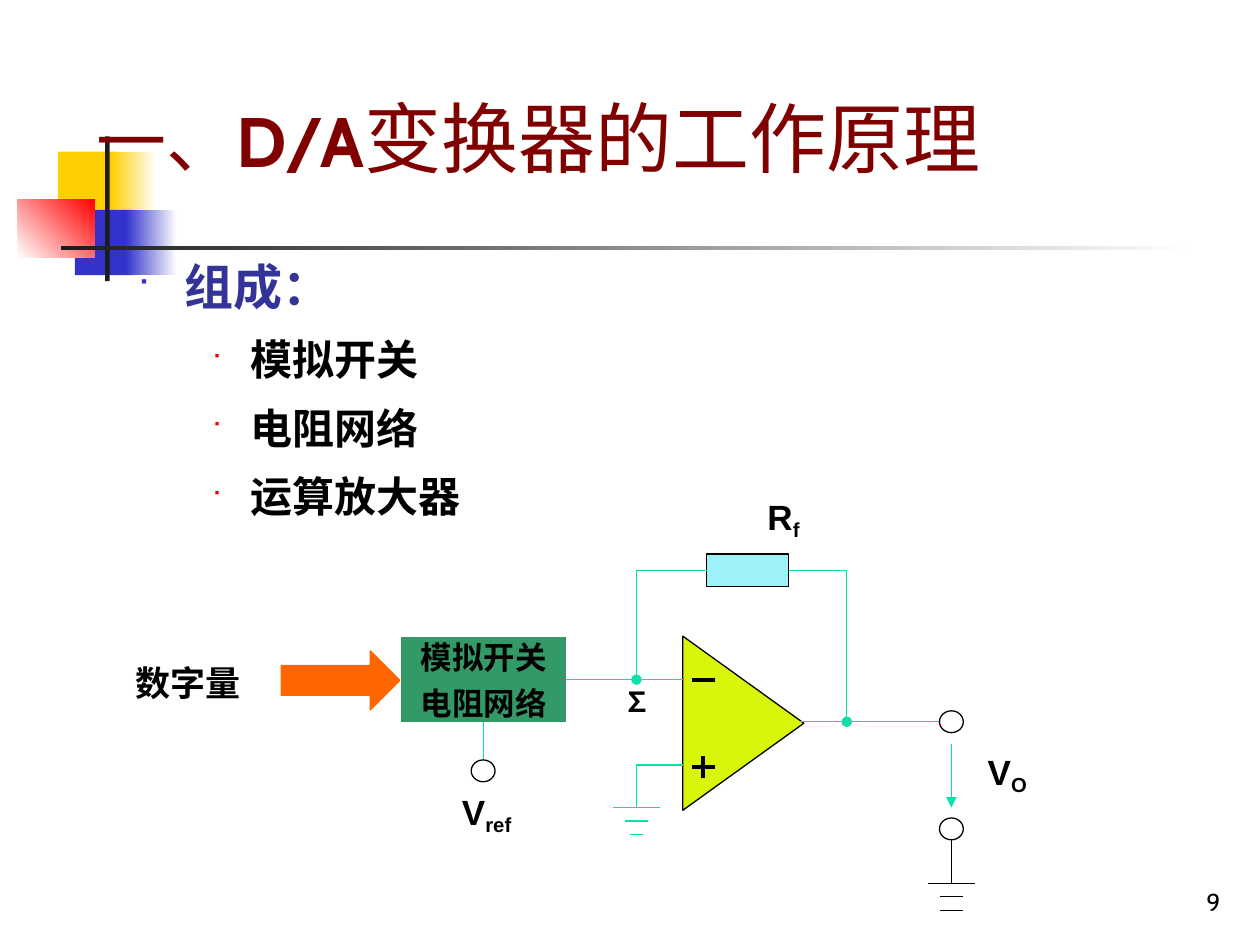
"""Build the slide on how a D/A converter works."""
from dataclasses import dataclass
from typing import Optional

from lxml.etree import SubElement
from pptx import Presentation
from pptx.dml.color import RGBColor as Rgb
from pptx.enum.shapes import MSO_CONNECTOR as Link, MSO_SHAPE as Form
from pptx.enum.text import MSO_ANCHOR as Anchor, MSO_AUTO_SIZE as Fit, PP_ALIGN as Align
from pptx.oxml.ns import qn
from pptx.util import Cm, Pt

HUES = {
    "white": "FFFFFF", "black": "000000", "gold": "FFCF01", "blue": "3333CC",
    "red": "FF0000", "ink": "1C1C1C", "maroon": "800000", "navy": "333399",
    "mint": "00E4A8", "green": "339966", "lime": "D9F50B", "sky": "9DF2F9",
    "orange": "FF6600",
}


@dataclass
class Block:
    """A filled preset shape; a second hue makes a gradient."""
    box: tuple
    fill: str
    edge: Optional[str] = None
    form: Form = Form.RECTANGLE
    turn: float = 0
    fade: Optional[str] = None
    slope: float = 0


@dataclass
class Wire:
    """A straight line, with optional joins as (block key, site)."""
    ends: tuple
    hue: str = "mint"
    width: float = 0.75
    tail: Optional[str] = None
    start: Optional[tuple] = None
    stop: Optional[tuple] = None


@dataclass
class Label:
    """A short centred text with an optional subscript."""
    box: tuple
    text: str
    sub: str = ""
    size: float = 20
    face: str = "Arial"


@dataclass
class Item:
    """A bulleted line of the list."""
    text: str
    size: float
    hue: str
    dot: str
    ratio: int
    left: float
    hang: float
    pitch: float
    before: float
    after: float


DECOR = [
    Block((1.17, 3.06, 1.22, 1.32), "gold"),
    Block((2.24, 3.06, 0.91, 1.32), "gold", fade="white"),
    Block((1.51, 4.23, 1.17, 1.32), "blue"),
    Block((2.54, 4.23, 1.02, 1.32), "blue", fade="white"),
    Block((0.36, 4.02, 1.55, 1.17), "white", fade="red", slope=45),
    Block((2.12, 2.75, 0.09, 2.92), "ink"),
    Block((1.23, 4.95, 22.86, 0.09), "ink", fade="white"),
]
PARTS = {
    "net": Block((8.1, 12.85, 3.3, 1.7), "green", "green"),
    "amp": Block((13.23, 13.36, 3.51, 2.44), "lime", "black", Form.ISOSCELES_TRIANGLE, 90),
    "load": Block((14.25, 11.17, 1.65, 0.66), "sky", "black"),
    "input": Block((6.27, 12.52, 1.19, 2.39), "orange", "orange", Form.DOWN_ARROW, 270),
}
PINS = [
    Block((left, top, 0.48, 0.44), "white", "black", Form.OVAL)
    for left, top in ((9.5, 15.32), (18.94, 14.33), (18.94, 16.49))
]
WIRES = [
    Wire((11.4, 13.7, 13.77, 13.7), start=("net", 3)),
    Wire((9.75, 15.42, 9.75, 14.55), stop=("net", 2)),
    Wire((13.77, 15.42, 12.83, 15.42)),
    Wire((12.83, 15.42, 12.83, 16.28)),
    Wire((16.13, 14.55, 18.95, 14.55)),
    Wire((15.9, 11.5, 17.07, 11.5), start=("load", 3)),
    Wire((17.07, 11.5, 17.07, 14.55), tail="oval"),
    Wire((14.25, 11.5, 12.83, 11.5), start=("load", 1)),
    Wire((12.83, 11.5, 12.83, 13.7), tail="oval"),
    Wire((19.18, 14.99, 19.18, 16.28), tail="triangle"),
    Wire((19.18, 16.94, 19.18, 17.81), "black"),
    Wire((13.94, 15.47, 14.42, 15.47), "black", 2.25),
    Wire((14.18, 15.24, 14.18, 15.68), "black", 2.25),
    Wire((13.94, 13.7, 14.42, 13.7), "black", 2.25),
]
EARTHS = [
    (12.83, 16.28, "mint", (0.94, 0.46, 0.28)),
    (19.18, 17.81, "black", (0.94, 0.48, 0.48)),
]
LABELS = [
    Label((9.11, 15.93, 1.4, 0.91), "V", "ref"),
    Label((15.3, 9.98, 0.99, 0.81), "R", "f"),
    Label((19.71, 15.13, 1.19, 0.81), "V", "O"),
    Label((2.5, 13.34, 2.59, 0.79), "数字量"),
    Label((12.5, 13.8, 0.71, 0.71), "∑", size=16, face="Noto Sans CJK SC"),
]
ITEMS = [Item("组成：", 28, "navy", "blue", 60, 0.96, 0.96, 1.1, 0, 1.8)] + [
    Item(text, 24, "black", "red", 55, 2.29, 0.79, pitch, before, 1.5)
    for text, pitch, before in (("模拟开关", 1.1, 6), ("电阻网络", 1.2, 3), ("运算放大器", 1.2, 3))
]


def tint(hue: str) -> Rgb:
    return Rgb.from_string(HUES[hue])


def style(run, size: float, face: str, hue: str = "black", bold: bool = True, east: str = "") -> None:
    font = run.font
    font.size, font.name, font.bold = Pt(size), face, bold
    font.color.rgb = tint(hue)
    SubElement(font._element, qn("a:ea")).set("typeface", east or face)


def frame(shape, inset: bool = False, wrap: bool = True, anchor=Anchor.TOP):
    body = shape.text_frame
    body.word_wrap, body.auto_size, body.vertical_anchor = wrap, Fit.NONE, anchor
    side, edge = (Cm(0.25), Cm(0.13)) if inset else (0, 0)
    body.margin_left = body.margin_right = side
    body.margin_top = body.margin_bottom = edge
    return body


def draw_block(slide, part: Block):
    shape = slide.shapes.add_shape(part.form, *map(Cm, part.box))
    shape.rotation, shape.shadow.inherit = part.turn, False
    if part.fade:
        shape.fill.gradient()
        shape.fill.gradient_angle = part.slope
        for stop, hue in zip(shape.fill.gradient_stops, (part.fill, part.fade)):
            stop.color.rgb = tint(hue)
    else:
        shape.fill.solid()
        shape.fill.fore_color.rgb = tint(part.fill)
    if part.edge:
        shape.line.color.rgb, shape.line.width = tint(part.edge), Pt(0.75)
    else:
        shape.line.fill.background()
    return shape


def draw_wire(slide, wire: Wire, parts: dict) -> None:
    line = slide.shapes.add_connector(Link.STRAIGHT, *map(Cm, wire.ends))
    line.line.color.rgb, line.line.width = tint(wire.hue), Pt(wire.width)
    if wire.tail:
        SubElement(line.line._get_or_add_ln(), qn("a:tailEnd")).set("type", wire.tail)
    SubElement(line._element.spPr, qn("a:effectLst"))
    if wire.start:
        line.begin_connect(parts[wire.start[0]], wire.start[1])
    if wire.stop:
        line.end_connect(parts[wire.stop[0]], wire.stop[1])


def draw_label(slide, label: Label) -> None:
    body = frame(slide.shapes.add_textbox(*map(Cm, label.box)), wrap=False)
    body.text = label.text
    para = body.paragraphs[0]
    para.alignment = Align.CENTER
    if label.sub:
        para.add_run().text = label.sub
    for run in para.runs:
        style(run, label.size, label.face)
    if label.sub:
        para.runs[1].font._element.set("baseline", "-20000")


def draw_list(slide, items: list) -> None:
    body = frame(slide.shapes.add_textbox(Cm(2.52), Cm(4.92), Cm(21.59), Cm(5.82)), True)
    body.text = "\n".join(item.text for item in items)
    for para, item in zip(body.paragraphs, items):
        props = para._p.get_or_add_pPr()
        props.set("marL", str(Cm(item.left)))
        props.set("indent", str(-Cm(item.hang)))
        SubElement(SubElement(props, qn("a:buClr")), qn("a:srgbClr")).set("val", HUES[item.dot])
        SubElement(props, qn("a:buSzPct")).set("val", str(item.ratio * 1000))
        SubElement(props, qn("a:buFont")).set("typeface", "Wingdings")
        SubElement(props, qn("a:buChar")).set("char", "■")
        para.line_spacing, para.space_after = item.pitch, Pt(item.after)
        if item.before:
            para.space_before = Pt(item.before)
        style(para.runs[0], item.size, "Cabin", item.hue)


def draw_title(slide) -> None:
    title = slide.shapes.title
    title.left, title.top, title.width, title.height = map(Cm, (1.7, 1.7, 21.59, 2.11))
    slide.shapes._spTree.append(title._element)
    para = frame(title, True, anchor=Anchor.BOTTOM).paragraphs[0]
    para.alignment = Align.LEFT
    for text, size, bold in (("一、", 40, False), ("D/A", 40, True), ("变换器的工作原理", 44, False)):
        run = para.add_run()
        run.text = text
        style(run, size, "Cabin", "maroon", bold)


def main() -> None:
    deck = Presentation()
    deck.slide_width, deck.slide_height = Cm(25.4), Cm(19.05)
    slide = deck.slides.add_slide(deck.slide_layouts[5])
    for part in DECOR:
        draw_block(slide, part)
    draw_title(slide)
    draw_list(slide, ITEMS)

    parts = {key: draw_block(slide, part) for key, part in PARTS.items()}
    body = frame(parts["net"], anchor=Anchor.MIDDLE)
    body.text = "模拟开关\n电阻网络"
    for para in body.paragraphs:
        para.alignment = Align.CENTER
        style(para.runs[0], 18, "Times New Roman", east="Arial")
    body.paragraphs[1].space_before = Pt(4.5)

    bars = [
        Wire((mid - span / 2, top + row * 0.27, mid + span / 2, top + row * 0.27), hue)
        for mid, top, hue, spans in EARTHS for row, span in enumerate(spans)
    ]
    for wire in WIRES + bars:
        draw_wire(slide, wire, parts)
    for pin in PINS:
        draw_block(slide, pin)
    for label in LABELS:
        draw_label(slide, label)

    page = frame(slide.shapes.add_textbox(*map(Cm, (19.57, 17.33, 5.28, 1.27))), True, anchor=Anchor.BOTTOM)
    page.text = "9"
    page.paragraphs[0].alignment = Align.RIGHT
    style(page.paragraphs[0].runs[0], 14, "Cabin", bold=False)
    deck.save("out.pptx")


if __name__ == "__main__":
    main()
